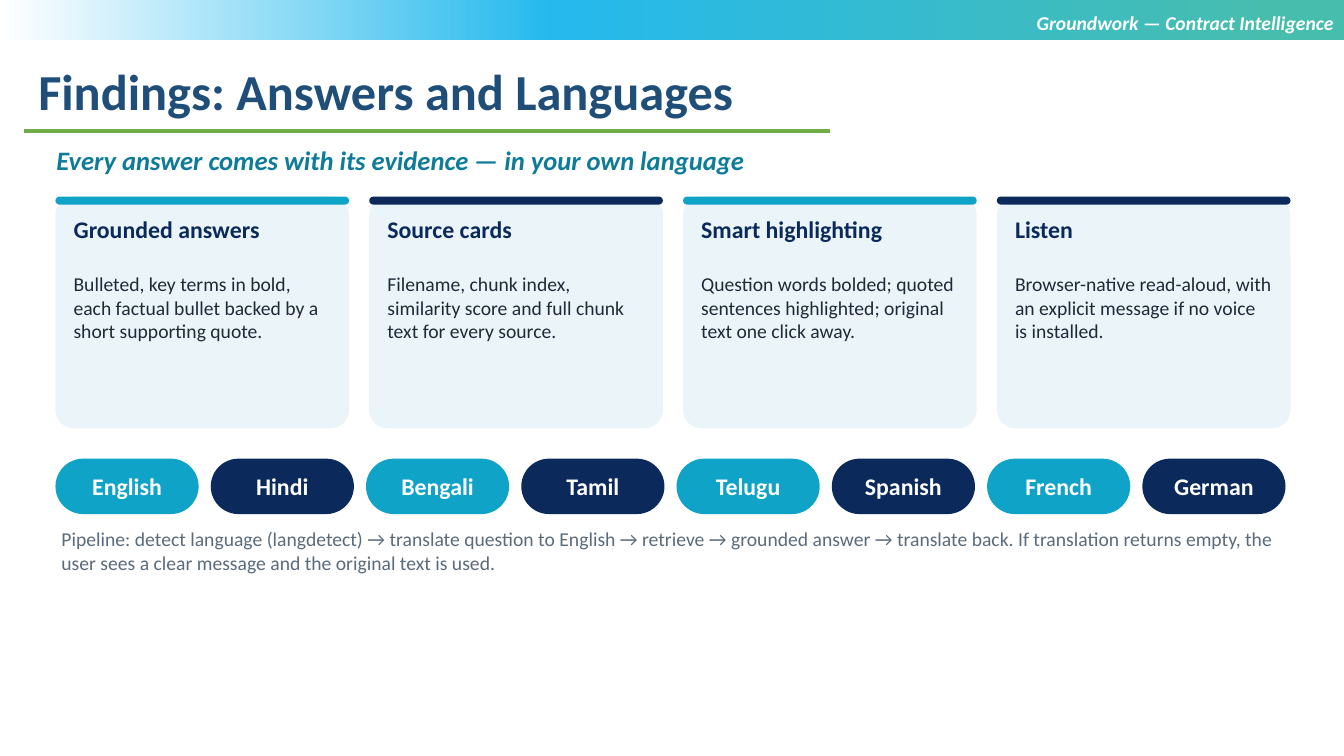
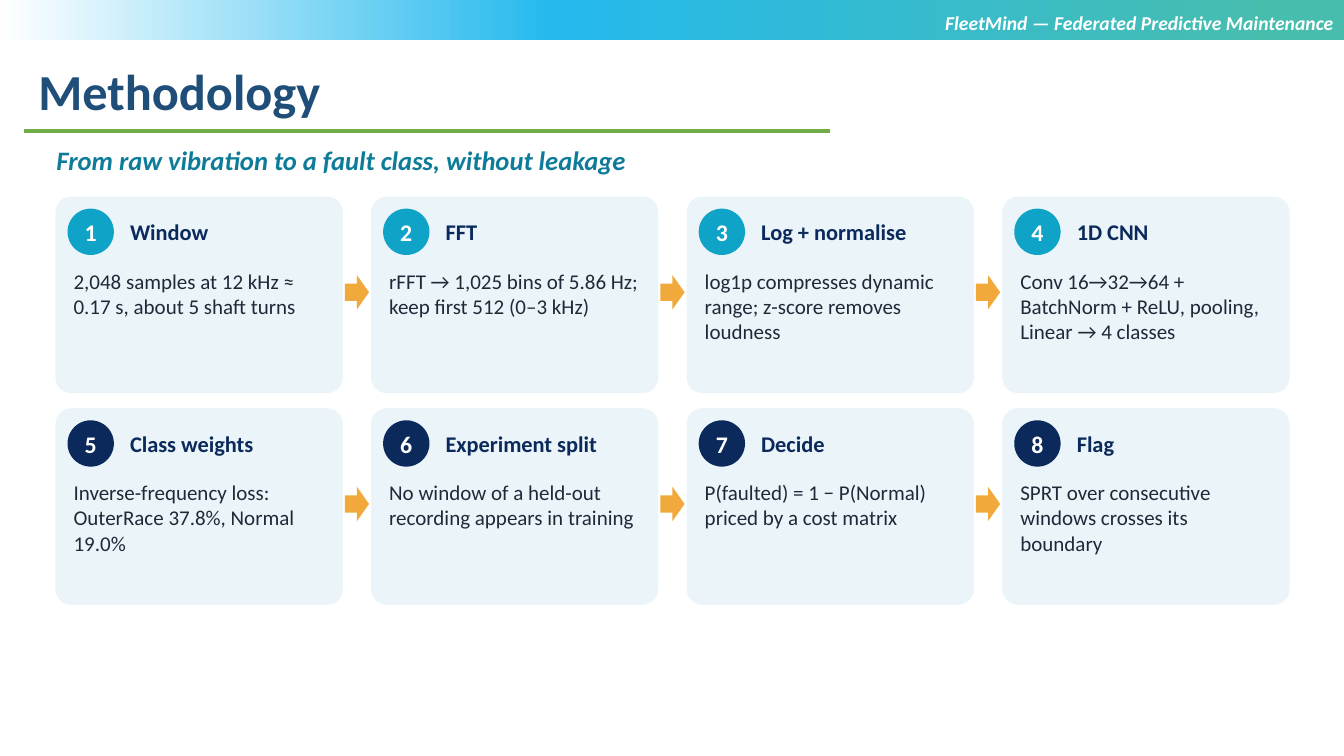
from dataclasses import dataclass, replace
from typing import Any, NamedTuple, Optional

import lxml.etree
import pptx
import pptx.dml.color
import pptx.enum.shapes
import pptx.enum.text
import pptx.oxml
import pptx.oxml.ns
import pptx.util

Inches = pptx.util.Inches
Pt = pptx.util.Pt
Shape = pptx.enum.shapes.MSO_SHAPE
Align = pptx.enum.text.PP_ALIGN
Anchor = pptx.enum.text.MSO_ANCHOR

FONT = "Calibri"
COLORS = {
    "title": "1F4E79",
    "rule": "70AD47",
    "subtitle": "0E7C99",
    "cyan": "0FA3C7",
    "navy": "0B2A5B",
    "card": "EAF4F9",
    "body": "1E2A38",
    "muted": "5A6B7B",
    "arrow": "F2A93B",
    "white": "FFFFFF",
}
BAND_STOPS = ((5, "47BDAE"), (59, "25B9ED"), (100, "FFFFFF"))
ACCENTS = ("cyan", "navy")
LEFT = 0.55
CARD_TOP = 1.95
CARD_PAD = 0.12
CARD_COLUMNS = 4


class Box(NamedTuple):
    left: float
    top: float
    width: float
    height: float

    def lengths(self) -> list[int]:
        return [Inches(value) for value in self]


@dataclass(frozen=True)
class Style:
    size: float
    color: str
    bold: bool = False
    italic: bool = False
    align: Any = Align.LEFT
    anchor: Any = Anchor.TOP
    inset_x: float = 0.06
    inset_y: float = 0.03
    space_after: float = 3


TITLE = Style(36, "title", bold=True, inset_x=0.1, inset_y=0.05, space_after=0)
PROJECT = replace(TITLE, size=14, color="white", italic=True, align=Align.RIGHT)
SUBTITLE = Style(19, "subtitle", bold=True, italic=True)
FINDING_HEAD = Style(17, "navy", bold=True)
FINDING_BODY = Style(14, "body")
PILL = Style(17, "white", bold=True, align=Align.CENTER, anchor=Anchor.MIDDLE)
NUMBER = replace(PILL, inset_x=0)
PIPELINE = Style(14, "muted")
STEP_HEAD = Style(16, "navy", bold=True, anchor=Anchor.MIDDLE)
STEP_BODY = Style(15, "body")


class Card(NamedTuple):
    head: str
    body: str


FINDINGS = (
    Card("Grounded answers",
         "Bulleted, key terms in bold, each factual bullet backed by a short supporting quote."),
    Card("Source cards",
         "Filename, chunk index, similarity score and full chunk text for every source."),
    Card("Smart highlighting",
         "Question words bolded; quoted sentences highlighted; original text one click away."),
    Card("Listen",
         "Browser-native read-aloud, with an explicit message if no voice is installed."),
)
LANGUAGES = ("English", "Hindi", "Bengali", "Tamil", "Telugu", "Spanish", "French", "German")
STEPS = (
    Card("Window", "2,048 samples at 12 kHz ≈ 0.17 s, about 5 shaft turns"),
    Card("FFT", "rFFT → 1,025 bins of 5.86 Hz; keep first 512 (0–3 kHz)"),
    Card("Log + normalise", "log1p compresses dynamic range; z-score removes loudness"),
    Card("1D CNN", "Conv 16→32→64 + BatchNorm + ReLU, pooling, Linear → 4 classes"),
    Card("Class weights", "Inverse-frequency loss: OuterRace 37.8%, Normal 19.0%"),
    Card("Experiment split", "No window of a held-out recording appears in training"),
    Card("Decide", "P(faulted) = 1 − P(Normal) priced by a cost matrix"),
    Card("Flag", "SPRT over consecutive windows crosses its boundary"),
)


def rgb(name: str) -> pptx.dml.color.RGBColor:
    return pptx.dml.color.RGBColor.from_string(COLORS[name])


def write(frame: Any, text: str, style: Style) -> None:
    frame.word_wrap = True
    frame.auto_size = pptx.enum.text.MSO_AUTO_SIZE.NONE
    frame.vertical_anchor = style.anchor
    frame.margin_left = frame.margin_right = Inches(style.inset_x)
    frame.margin_top = frame.margin_bottom = Inches(style.inset_y)
    paragraph = frame.paragraphs[0]
    paragraph.alignment = style.align
    paragraph.space_after = Pt(style.space_after)
    run = paragraph.add_run()
    run.text = text
    run.font.name = FONT
    run.font.size = Pt(style.size)
    run.font.bold = style.bold
    run.font.italic = style.italic
    run.font.color.rgb = rgb(style.color)


def add_text(slide: Any, box: Box, text: str, style: Style) -> None:
    write(slide.shapes.add_textbox(*box.lengths()).text_frame, text, style)


def add_block(slide: Any, kind: Any, box: Box, fill: str,
              rounding: Optional[float] = None) -> Any:
    """Add a flat preset shape without an outline."""
    block = slide.shapes.add_shape(kind, *box.lengths())
    block.shadow.inherit = False
    block.line.fill.background()
    block.fill.solid()
    block.fill.fore_color.rgb = rgb(fill)
    if rounding is not None:
        block.adjustments[0] = rounding
    return block


def add_band(slide: Any) -> None:
    """Put the gradient band on the slide's layout, behind everything else."""
    band = add_block(slide, Shape.RECTANGLE, Box(0, 0, 13.33, 0.4), "white")
    band.fill.gradient()
    band.fill.gradient_angle = 180
    stops = band.element.spPr.find(".//" + pptx.oxml.ns.qn("a:gsLst"))
    for stop in list(stops):
        stops.remove(stop)
    for percent, color in BAND_STOPS:
        stop = lxml.etree.SubElement(stops, pptx.oxml.ns.qn("a:gs"), pos=str(percent * 1000))
        lxml.etree.SubElement(stop, pptx.oxml.ns.qn("a:srgbClr"), val=color)
    band.element.nvSpPr.cNvPr.set("id", "100")
    slide.slide_layout.shapes.element.insert(2, band.element)


def add_rule(slide: Any) -> None:
    rule = slide.shapes.add_connector(
        pptx.enum.shapes.MSO_CONNECTOR.STRAIGHT,
        Inches(0.24), Inches(1.3), Inches(8.23), Inches(1.3))
    rule.line.color.rgb = rgb("rule")
    rule.line.width = Pt(2.25)
    lxml.etree.SubElement(rule.element.spPr, pptx.oxml.ns.qn("a:effectLst"))


def add_page(deck: Any, title: str, project: str, subtitle: str) -> Any:
    slide = deck.slides.add_slide(deck.slide_layouts[5])
    heading = slide.shapes.title
    heading.left, heading.top, heading.width, heading.height = Box(0.28, 0.55, 11.62, 0.7).lengths()
    write(heading.text_frame, title, TITLE)
    add_rule(slide)
    add_text(slide, Box(6.66, 0.06, 6.67, 0.7), project, PROJECT)
    add_text(slide, Box(0.5, 1.4, 12.3, 0.42), subtitle, SUBTITLE)
    return slide


def add_finding(slide: Any, index: int, finding: Card) -> None:
    gap = 0.2
    width = (12.25 - (CARD_COLUMNS - 1) * gap) / CARD_COLUMNS
    left = LEFT + index * (width + gap)
    text_left, text_width = left + CARD_PAD, width - 2 * CARD_PAD
    add_block(slide, Shape.ROUNDED_RECTANGLE, Box(left, CARD_TOP, width, 2.3), "card", 0.08)
    add_block(slide, Shape.ROUNDED_RECTANGLE, Box(left, CARD_TOP, width, 0.08),
              ACCENTS[index % 2], 0.5)
    add_text(slide, Box(text_left, 2.1, text_width, 0.55), finding.head, FINDING_HEAD)
    add_text(slide, Box(text_left, 2.67, text_width, 1.5), finding.body, FINDING_BODY)


def add_language(slide: Any, index: int, language: str) -> None:
    pill = add_block(slide, Shape.ROUNDED_RECTANGLE,
                     Box(LEFT + index * 1.54, 4.55, 1.42, 0.55), ACCENTS[index % 2], 0.5)
    write(pill.text_frame, language, PILL)


def add_step(slide: Any, index: int, step: Card) -> None:
    """Add a numbered card, with an arrow to the next card in its row."""
    row, column = divmod(index, CARD_COLUMNS)
    width, height, badge = 2.85, 1.95, 0.46
    left = LEFT + column * (width + 0.28)
    top = CARD_TOP + row * (height + 0.15)
    inner_left, inner_top = left + CARD_PAD, top + CARD_PAD
    add_block(slide, Shape.ROUNDED_RECTANGLE, Box(left, top, width, height), "card", 0.08)
    number = add_block(slide, Shape.OVAL, Box(inner_left, inner_top, badge, badge), ACCENTS[row])
    write(number.text_frame, str(index + 1), NUMBER)
    add_text(slide, Box(inner_left + badge + 0.1, inner_top, 2.1, badge), step.head, STEP_HEAD)
    add_text(slide, Box(inner_left, top + 0.68, 2.62, 1.25), step.body, STEP_BODY)
    if column < CARD_COLUMNS - 1:
        add_block(slide, Shape.RIGHT_ARROW, Box(left + width + 0.02, top + 0.78, 0.24, 0.34),
                  "arrow")


def main() -> None:
    deck = pptx.Presentation()
    deck.slide_width, deck.slide_height = Inches(13.33), Inches(7.5)

    findings = add_page(deck, "Findings: Answers and Languages",
                        "Groundwork — Contract Intelligence",
                        "Every answer comes with its evidence — in your own language")
    add_band(findings)
    for index, finding in enumerate(FINDINGS):
        add_finding(findings, index, finding)
    for index, language in enumerate(LANGUAGES):
        add_language(findings, index, language)
    add_text(findings, Box(LEFT, 5.2, 12.2, 0.9),
             "Pipeline: detect language (langdetect) → translate question to English → retrieve → "
             "grounded answer → translate back. If translation returns empty, the user sees a "
             "clear message and the original text is used.", PIPELINE)

    methodology = add_page(deck, "Methodology",
                           "FleetMind — Federated Predictive Maintenance",
                           "From raw vibration to a fault class, without leakage")
    for index, step in enumerate(STEPS):
        add_step(methodology, index, step)

    deck.save("out.pptx")


if __name__ == "__main__":
    main()
